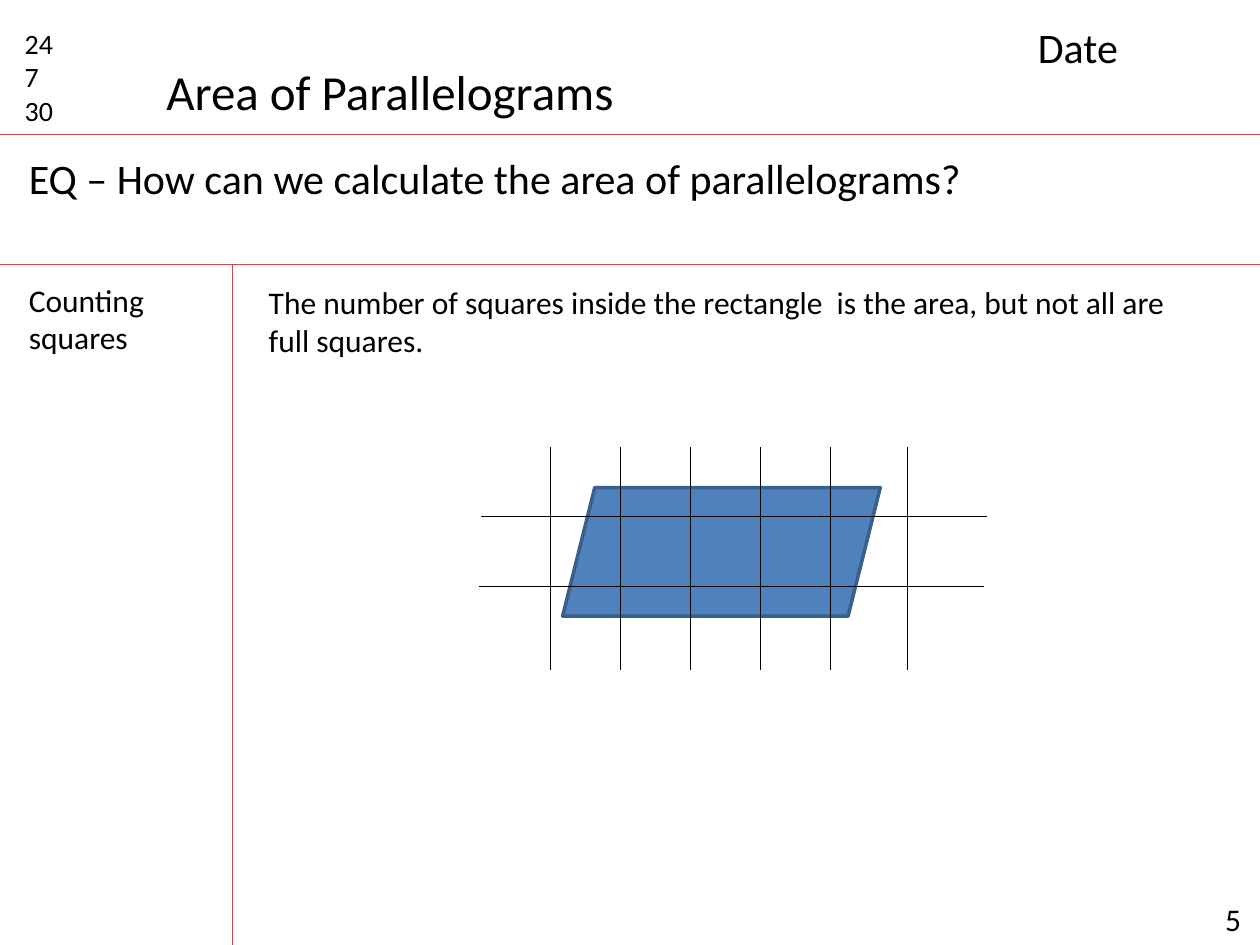
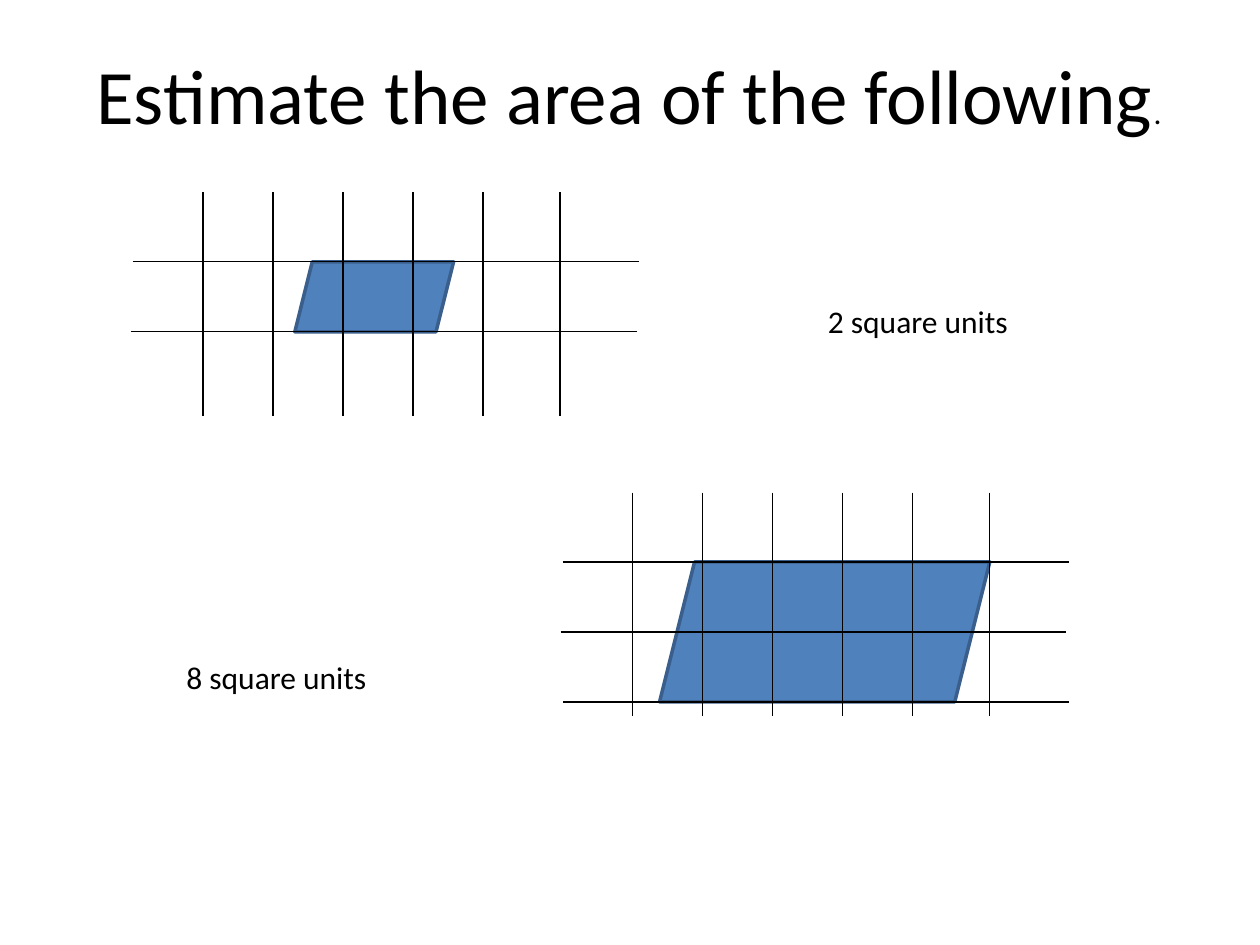
import itertools
from dataclasses import dataclass

import pptx
import pptx.dml.color
import pptx.enum.shapes
import pptx.enum.text
import pptx.oxml.ns
import pptx.util
from lxml import etree

Pt = pptx.util.Pt


@dataclass(frozen=True)
class Theme:
    font: str = "Calibri"
    ink: str = "000000"
    rule: str = "BF4C48"
    figure_fill: str = "4F81BD"
    figure_line: str = "3A5F8C"
    hairline: float = 0.75
    outline: float = 2
    headline: float = 44
    title: float = 28
    question: float = 24
    body: float = 18
    small: float = 16


THEME = Theme()
WIDTH, HEIGHT = 720, 540

# Grid paper: one-unit squares, with a slightly wider last column
UNIT = 40
GRID_WIDTH, GRID_HEIGHT = 289, 127.5
COLUMN_GAPS = [41, UNIT, UNIT, UNIT, UNIT, 44]
ROW_STAGGER = 1.3


def color(value):
    return pptx.dml.color.RGBColor.from_string(value)


def add_text(slide, text, box, size=THEME.body, wrap=True, ending="", ending_size=THEME.body):
    """Add a text box; each line of text is a paragraph, ending is a last run."""
    shape = slide.shapes.add_textbox(*map(Pt, box))
    frame = shape.text_frame
    frame.word_wrap = wrap
    frame.auto_size = pptx.enum.text.MSO_AUTO_SIZE.SHAPE_TO_FIT_TEXT
    frame.text = text
    if ending:
        frame.paragraphs[-1].add_run().text = ending
    for paragraph in frame.paragraphs:
        for run in paragraph.runs:
            run.font.name = THEME.font
            run.font.size = Pt(size)
            run.font.color.rgb = color(THEME.ink)
    if ending:
        frame.paragraphs[-1].runs[-1].font.size = Pt(ending_size)


def add_line(slide, start, end, line_color=THEME.ink):
    connector = slide.shapes.add_connector(
        pptx.enum.shapes.MSO_CONNECTOR.STRAIGHT, *map(Pt, (*start, *end)))
    connector.line.color.rgb = color(line_color)
    connector.line.width = Pt(THEME.hairline)
    properties = connector._element.spPr
    etree.SubElement(properties, pptx.oxml.ns.qn("a:effectLst"))


def add_parallelogram(slide, box):
    shape = slide.shapes.add_shape(
        pptx.enum.shapes.MSO_SHAPE.PARALLELOGRAM, *map(Pt, box))
    shape.shadow.inherit = False
    shape.fill.solid()
    shape.fill.fore_color.rgb = color(THEME.figure_fill)
    shape.line.color.rgb = color(THEME.figure_line)
    shape.line.width = Pt(THEME.outline)


def add_grid_figure(slide, left, top, figure, rows=2):
    """Draw a parallelogram under grid lines; figure is relative to the grid."""
    x, y, width, height = figure
    add_parallelogram(slide, (left + x, top + y, width, height))
    for offset in itertools.accumulate(COLUMN_GAPS):
        add_line(slide, (left + offset, top), (left + offset, top + GRID_HEIGHT))
    for row in range(rows):
        row_left = left + (ROW_STAGGER if row % 2 == 0 else 0)
        row_top = top + UNIT * (row + 1) - 0.4
        add_line(slide, (row_left, row_top), (row_left + GRID_WIDTH, row_top))


def add_header(slide, box):
    """Counts, lesson title and date, closed by a rule."""
    left, top, width, height = box
    add_text(slide, "24\n7\n30", (left + 7, top + 11.5, 45.5, 65.5), size=THEME.small)
    add_text(slide, "Area of Parallelograms", (left + 88, top + 31.7, 273, 41),
             size=THEME.title, wrap=False)
    add_text(slide, "Date", (left + 586, top + 8.6, 124.5, 36), size=THEME.question)
    add_line(slide, (left, top + height), (left + width, top + height), THEME.rule)


def add_question(slide, box):
    """Essential question, closed by a rule."""
    left, top, width, height = box
    add_text(slide, "EQ – How can we calculate the area of parallelograms?",
             (left + 9.4, top + 6.5, 679, 36), size=THEME.question)
    add_line(slide, (left, top + height), (left + width, top + height), THEME.rule)


def add_notes_area(slide, box, margin_width):
    """Cue column, dividing rule, explanation and figure."""
    left, top, width, height = box
    divider = left + margin_width
    add_line(slide, (divider, top), (divider, top + height), THEME.rule)
    add_text(slide, "Counting squares", (left + 9.4, top + 5.8, 103, 51))
    add_text(slide, "The number of squares inside the rectangle  is the area, "
             "but not all are full squares.", (divider + 13.5, top + 7.2, 532, 51))
    add_grid_figure(slide, divider + 140.5, top + 104.6, (48, 23, 181.5, 73.5))
    add_text(slide, "5", (left + width - 27, top + height - 29, 39, 29))


def build_lesson_slide(slide):
    header_bottom, question_bottom = 77, 151
    add_header(slide, (0, 0, WIDTH, header_bottom))
    add_question(slide, (0, header_bottom, WIDTH, question_bottom - header_bottom))
    add_notes_area(slide, (0, question_bottom, WIDTH, HEIGHT - question_bottom), 133)


def add_exercise(slide, grid, figure, answer, answer_place, rows=2):
    """Grid figure with its answer placed relative to the grid."""
    left, top = grid
    x, y = answer_place
    add_grid_figure(slide, left, top, figure, rows)
    add_text(slide, answer, (left + x, top + y, 119, 29), wrap=False)


def build_practice_slide(slide):
    add_text(slide, "Estimate the area of the following", (48, 23.8, 630, 60.5),
             size=THEME.headline, wrap=False, ending=".")
    add_exercise(slide, (75, 110), (93.5, 39.6, 90.7, UNIT),
                 "2 square units", (391, 59.2))
    add_exercise(slide, (320.4, 281.5), (56.5, 39.6, 188.7, 2 * UNIT),
                 "8 square units", (-221, 90.7), rows=3)


def main():
    presentation = pptx.Presentation()
    presentation.slide_width, presentation.slide_height = Pt(WIDTH), Pt(HEIGHT)
    blank = presentation.slide_layouts[6]
    for build in (build_lesson_slide, build_practice_slide):
        build(presentation.slides.add_slide(blank))
    presentation.save("out.pptx")


if __name__ == "__main__":
    main()
